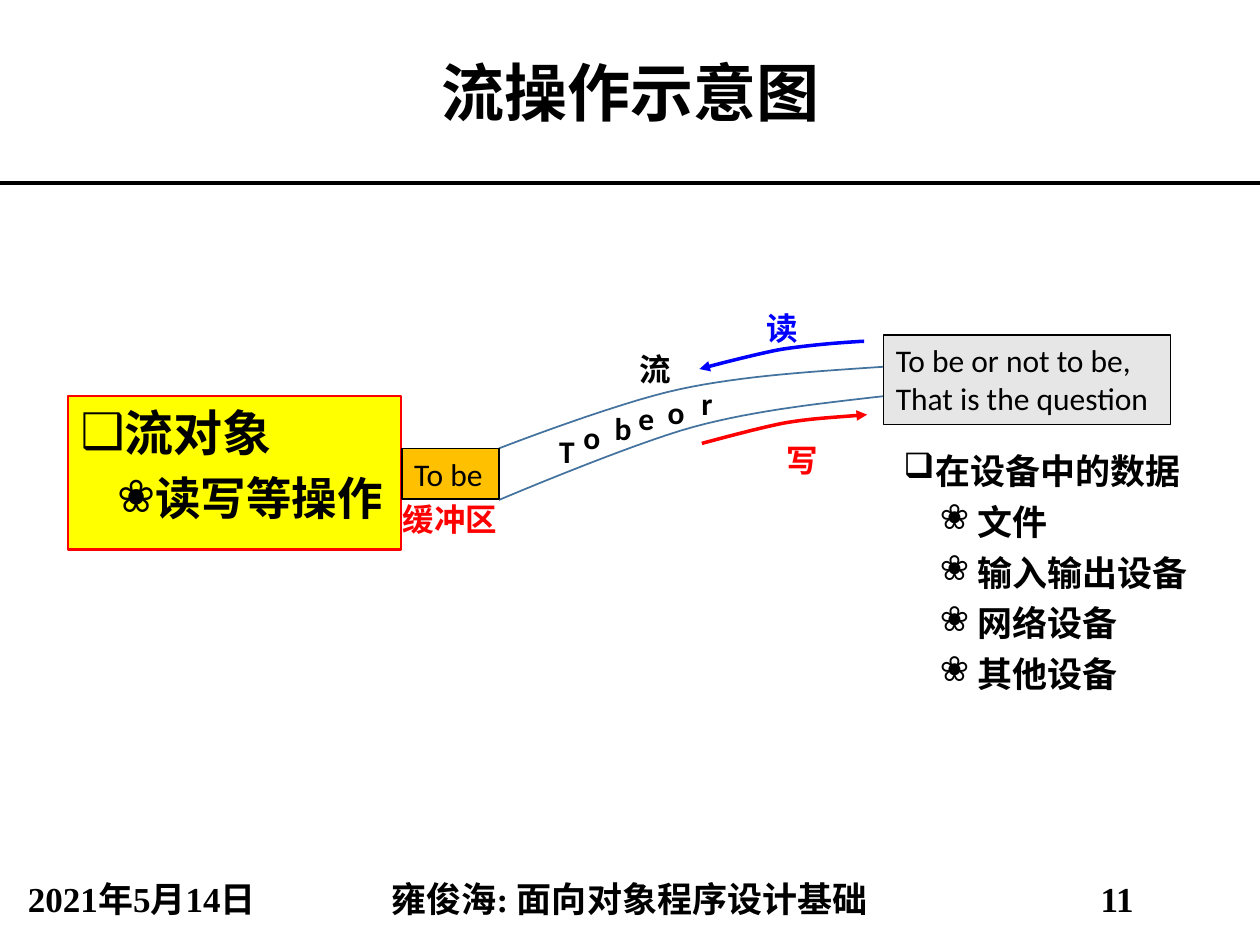
from itertools import pairwise
from lxml import etree
from pptx import Presentation
from pptx import util as u
from pptx.dml import color
from pptx.enum import shapes, text
from pptx.oxml import ns

BLACK, RED, BLUE = "000000", "FF0000", "0000FF"
SANS, SERIF = "Calibri", "Times New Roman"
ALIGN = text.PP_ALIGN
TOP, MIDDLE = text.MSO_ANCHOR.TOP, text.MSO_ANCHOR.MIDDLE
BULLETS = [("❑", 0.64, -0.64, 10), ("❀", 1.5, -0.76, 5)]

TITLE = "流操作示意图"
STREAM_OBJECT = [(0, "流对象", 28), (1, "读写等操作", 26)]
DEVICE_DATA = [(0, "在设备中的数据", 20)] + [
    (1, name, 20) for name in ("文件", "输入输出设备", "网络设备", "其他设备")]
BUFFER = ("To be", (8.1, 9.04, 1.96, 1.02), "FFC000")
DEVICE = ("To be or not to be, That is the question", (17.81, 6.76, 5.79, 1.8), "E7E6E6")
LABELS = [
    ("流", 12.65, 6.93, 1.24, BLACK),
    ("写", 15.6, 8.76, 1.24, RED),
    ("读", 15.21, 6.1, 1.24, BLUE),
    ("缓冲区", 7.87, 9.96, 2.54, RED),
]
LETTERS = [("T", 11.02, 8.59), ("o", 11.51, 8.31), ("b", 12.14, 8.13),
           ("e", 12.62, 7.92), ("o", 13.21, 7.8), ("r", 13.89, 7.62)]
FOOTER = [("2021年5月14日", 0, 5.72), ("雍俊海: 面向对象程序设计基础", 5.72, 13.94),
          ("11", 19.66, 5.72)]
CURVES = [
    ([(17.88, 7.39), (16.43, 7.49), (14.99, 7.57), (13.69, 7.85),
      (12.4, 8.13), (10.06, 9.04), (10.06, 9.04)], "43739E", 1, None),
    ([(17.88, 7.98), (16.59, 8.13), (15.27, 8.26), (13.97, 8.61),
      (12.67, 8.97), (10.06, 10.08), (10.06, 10.08)], "43739E", 1, None),
    ([(17.48, 8.36), (16.92, 8.41), (16.36, 8.43), (15.8, 8.53),
      (15.24, 8.64), (14.15, 8.94), (14.15, 8.94)], RED, 2, "headEnd"),
    ([(17.42, 6.88), (16.87, 6.91), (16.31, 6.96), (15.77, 7.04),
      (15.21, 7.14), (14.1, 7.44), (14.1, 7.44)], BLUE, 2, "tailEnd"),
]


def apply(target, **values):
    for name, value in values.items():
        setattr(target, name, value)


def paint(format_part, value):
    if hasattr(format_part, "solid"):
        format_part.solid()
        format_part = format_part.fore_color
    format_part.rgb = color.RGBColor.from_string(value)


def outline(shape, value, width):
    paint(shape.line.color, value)
    shape.line.width = u.Pt(width)


def place(shape, box):
    apply(shape, **dict(zip(("left", "top", "width", "height"), map(u.Cm, box))))


def style(paragraph, size, font=SERIF, value=BLACK, bold=True, **layout):
    apply(paragraph, **layout)
    apply(paragraph.font, name=font, size=u.Pt(size), bold=bold)
    paint(paragraph.font.color, value)


def write(shape, content, size, anchor=TOP, **format_values):
    frame = shape.text_frame
    apply(frame, word_wrap=True, auto_size=text.MSO_AUTO_SIZE.NONE, vertical_anchor=anchor)
    frame.text = content
    style(frame.paragraphs[0], size, **format_values)


def write_list(shape, items):
    frame = shape.text_frame
    apply(frame, word_wrap=True, auto_size=text.MSO_AUTO_SIZE.NONE, vertical_anchor=TOP)
    for index, (level, content, size) in enumerate(items):
        paragraph = frame.add_paragraph() if index else frame.paragraphs[0]
        paragraph.text = content
        symbol, margin, indent, before = BULLETS[level]
        properties = paragraph._p.get_or_add_pPr()
        properties.set("marL", str(u.Cm(margin)))
        properties.set("indent", str(u.Cm(indent)))
        etree.SubElement(properties, ns.qn("a:buChar")).set("char", symbol)
        style(paragraph, size, level=level, alignment=ALIGN.JUSTIFY,
              space_before=u.Pt(before if index else 0))


def add_text(slide, box, content, size, **format_values):
    shape = slide.shapes.add_textbox(*map(u.Cm, box))
    write(shape, content, size, **format_values)


def add_box(slide, content, box, fill):
    shape = slide.shapes.add_shape(shapes.MSO_SHAPE.RECTANGLE, *map(u.Cm, box))
    shape.shadow.inherit = False
    paint(shape.fill, fill)
    outline(shape, BLACK, 1)
    write(shape, content, 18, font=SANS, bold=False, alignment=ALIGN.LEFT)


def bezier(points, steps=16):
    for start in range(0, len(points) - 1, 3):
        for step in range(1, steps + 1):
            t = step / steps
            weights = ((1 - t) ** 3, 3 * t * (1 - t) ** 2, 3 * t * t * (1 - t), t ** 3)
            yield tuple(u.Cm(sum(w * c for w, c in zip(weights, axis)))
                        for axis in zip(*points[start:start + 4]))


def add_curve(slide, points, value, width, arrow_end):
    builder = slide.shapes.build_freeform(*map(u.Cm, points[0]))
    builder.add_line_segments(list(bezier(points)), close=False)
    shape = builder.convert_to_shape()
    shape.shadow.inherit = False
    shape.fill.background()
    outline(shape, value, width)
    if arrow_end:
        line = shape.element.spPr.find(ns.qn("a:ln"))
        etree.SubElement(line, ns.qn("a:" + arrow_end)).set("type", "triangle")


def main():
    """Build the stream operation diagram."""
    presentation = Presentation()
    apply(presentation, slide_width=u.Cm(25.4), slide_height=u.Cm(19.05))
    slide = presentation.slides.add_slide(presentation.slide_layouts[1])
    title, body = slide.placeholders

    place(title, (0, 0, 25.4, 3.68))
    write(title, TITLE, 36, anchor=MIDDLE, alignment=ALIGN.CENTER)
    place(body, (1.37, 7.98, 6.71, 3.1))
    paint(body.fill, "FFFF00")
    outline(body, RED, 1.25)
    write_list(body, STREAM_OBJECT)

    rule = slide.shapes.add_connector(
        shapes.MSO_CONNECTOR.STRAIGHT, *map(u.Cm, (0, 3.68, 25.4, 3.68)))
    outline(rule, BLACK, 2.25)
    etree.SubElement(rule.element.spPr, ns.qn("a:effectLst"))

    for content, left, width in FOOTER:
        add_text(slide, (left, 17.65, width, 1.02), content, 20, anchor=MIDDLE,
                 alignment=ALIGN.CENTER, line_spacing=0.9)
    for curve in CURVES:
        add_curve(slide, *curve)
    for box in (BUFFER, DEVICE):
        add_box(slide, *box)
    letters = [(letter, left, top, 0.86, BLACK) for letter, left, top in LETTERS]
    for content, left, top, width, value in LABELS + letters:
        add_text(slide, (left, top, width, 1.02), content, 18, font=SANS, value=value)
    devices = slide.shapes.add_textbox(*map(u.Cm, (17.96, 8.94, 6.53, 5.84)))
    write_list(devices, DEVICE_DATA)

    presentation.save("out.pptx")


if __name__ == "__main__":
    main()
